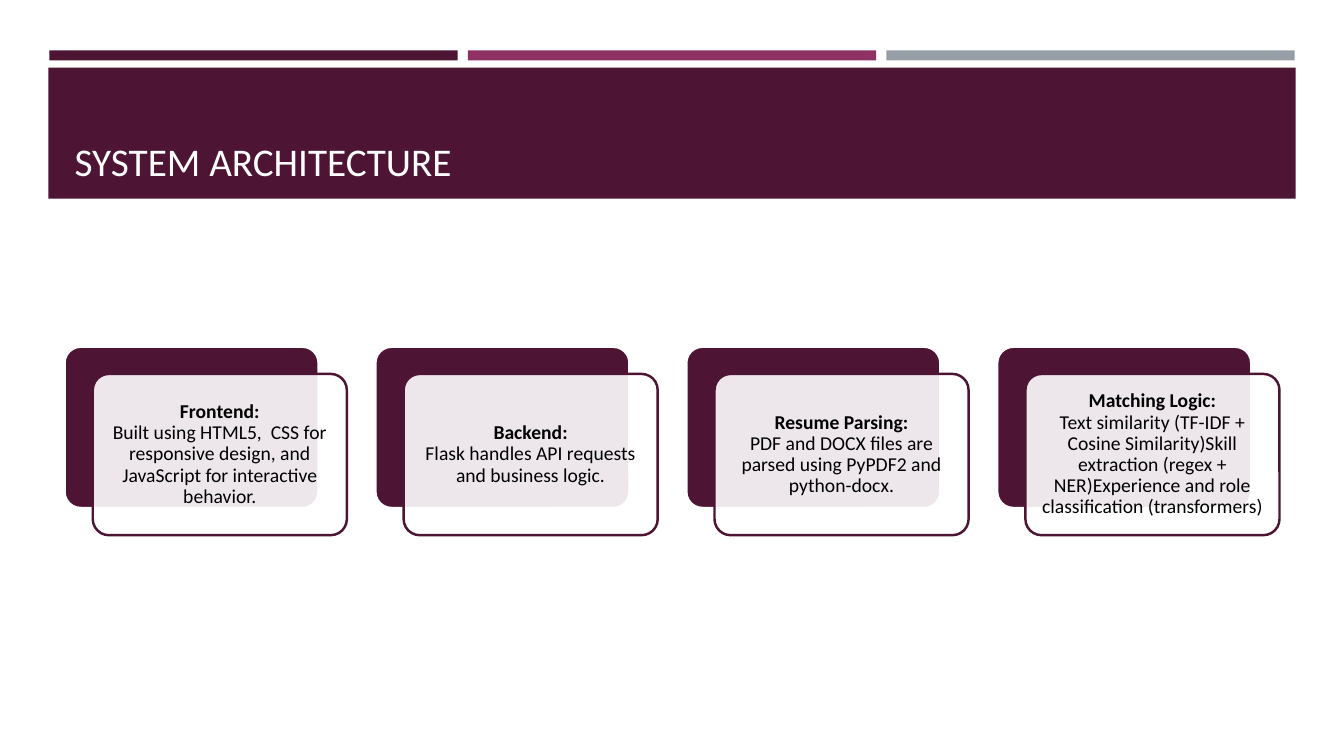
import pptx
import pptx.dml.color
import pptx.enum.shapes
import pptx.enum.text
import pptx.oxml
import pptx.oxml.ns
import pptx.util

Inches = pptx.util.Inches
Pt = pptx.util.Pt
SHAPE = pptx.enum.shapes.MSO_SHAPE
ANCHOR = pptx.enum.text.MSO_ANCHOR
ALIGN = pptx.enum.text.PP_ALIGN

FONT = "Calibri"
PLUM = "4D1434"
MAGENTA = "903163"
GRAY = "969FA7"
WHITE = "FFFFFF"
BLACK = "000000"

COMPONENTS = [
    ("Frontend:", "Built using HTML5,  CSS for responsive design, and "
                  "JavaScript for interactive behavior."),
    ("Backend:", "Flask handles API requests and business logic."),
    ("Resume Parsing:", "PDF and DOCX files are parsed using PyPDF2 and python-docx."),
    ("Matching Logic:", "Text similarity (TF-IDF + Cosine Similarity)Skill extraction "
                        "(regex + NER)Experience and role classification (transformers)"),
]


def rgb(color):
    return pptx.dml.color.RGBColor.from_string(color)


def add_block(s, kind, x, y, w, h, fill, line=None):
    sp = s.shapes.add_shape(kind, Inches(x), Inches(y), Inches(w), Inches(h))
    sp.shadow.inherit = False
    sp.fill.solid()
    sp.fill.fore_color.rgb = rgb(fill)
    if line:
        sp.line.color.rgb = rgb(line)
        sp.line.width = Pt(1.75)
    else:
        sp.line.fill.background()
    return sp


def set_opacity(sp, percent):
    color = sp.fill._xPr.find(".//" + pptx.oxml.ns.qn("a:srgbClr"))
    alpha = pptx.oxml.parse_xml(
        f'<a:alpha {pptx.oxml.ns.nsdecls("a")} val="{percent * 1000}"/>')
    color.append(alpha)


def add_stripes(s, x, y, w, h, gap=0.1):
    colors = [PLUM, MAGENTA, GRAY]
    stripe_w = (w - gap * (len(colors) - 1)) / len(colors)
    for i, color in enumerate(colors):
        add_block(s, SHAPE.RECTANGLE, x + i * (stripe_w + gap), y, stripe_w, h, color)


def add_title_band(s, text, x, y, w, h):
    add_block(s, SHAPE.RECTANGLE, x, y, w, h, PLUM)
    title = s.shapes.title
    s.shapes._spTree.append(title._element)
    title.left, title.top = Inches(x + 0.16), Inches(y + 0.1)
    title.width, title.height = Inches(w - 0.31), Inches(h - 0.19)
    tf = title.text_frame
    tf.text = text
    tf.vertical_anchor = ANCHOR.BOTTOM
    p = tf.paragraphs[0]
    p.alignment = ALIGN.LEFT
    p.font.name = FONT
    p.font.size = Pt(28)
    p.font.color.rgb = rgb(WHITE)


def add_card(s, heading, body, x, y, w, h, dx=0.28, dy=0.27):
    card_w, card_h = w - dx, h - dy
    back = add_block(s, SHAPE.ROUNDED_RECTANGLE, x, y, card_w, card_h, PLUM, WHITE)
    front = add_block(s, SHAPE.ROUNDED_RECTANGLE, x + dx, y + dy, card_w, card_h,
                      WHITE, PLUM)
    for sp in (back, front):
        sp.adjustments[0] = 0.1
    set_opacity(front, 90)

    tf = front.text_frame
    tf.word_wrap = True
    tf.vertical_anchor = ANCHOR.MIDDLE
    tf.margin_left = tf.margin_right = tf.margin_top = tf.margin_bottom = Inches(0.06)
    p = tf.paragraphs[0]
    p.alignment = ALIGN.CENTER
    p.line_spacing = 0.9
    p.font.name = FONT
    p.font.size = Pt(14)
    p.font.color.rgb = rgb(BLACK)
    r = p.add_run()
    r.text = heading
    r.font.bold = True
    p.add_line_break()
    p.add_run().text = body


def add_cards(s, x, y, w, h, card_w=2.8):
    step = (w - card_w) / (len(COMPONENTS) - 1)
    for i, (heading, body) in enumerate(COMPONENTS):
        add_card(s, heading, body, x + i * step, y, card_w, h)


def main():
    prs = pptx.Presentation()
    prs.slide_width, prs.slide_height = Inches(13.33), Inches(7.5)
    s = prs.slides.add_slide(prs.slide_layouts[5])
    add_stripes(s, 0.49, 0.5, 12.35, 0.1)
    add_title_band(s, "SYSTEM ARCHITECTURE", 0.48, 0.67, 12.37, 1.3)
    add_cards(s, 0.64, 3.44, 12.05, 1.87)
    prs.save("out.pptx")


if __name__ == "__main__":
    main()
